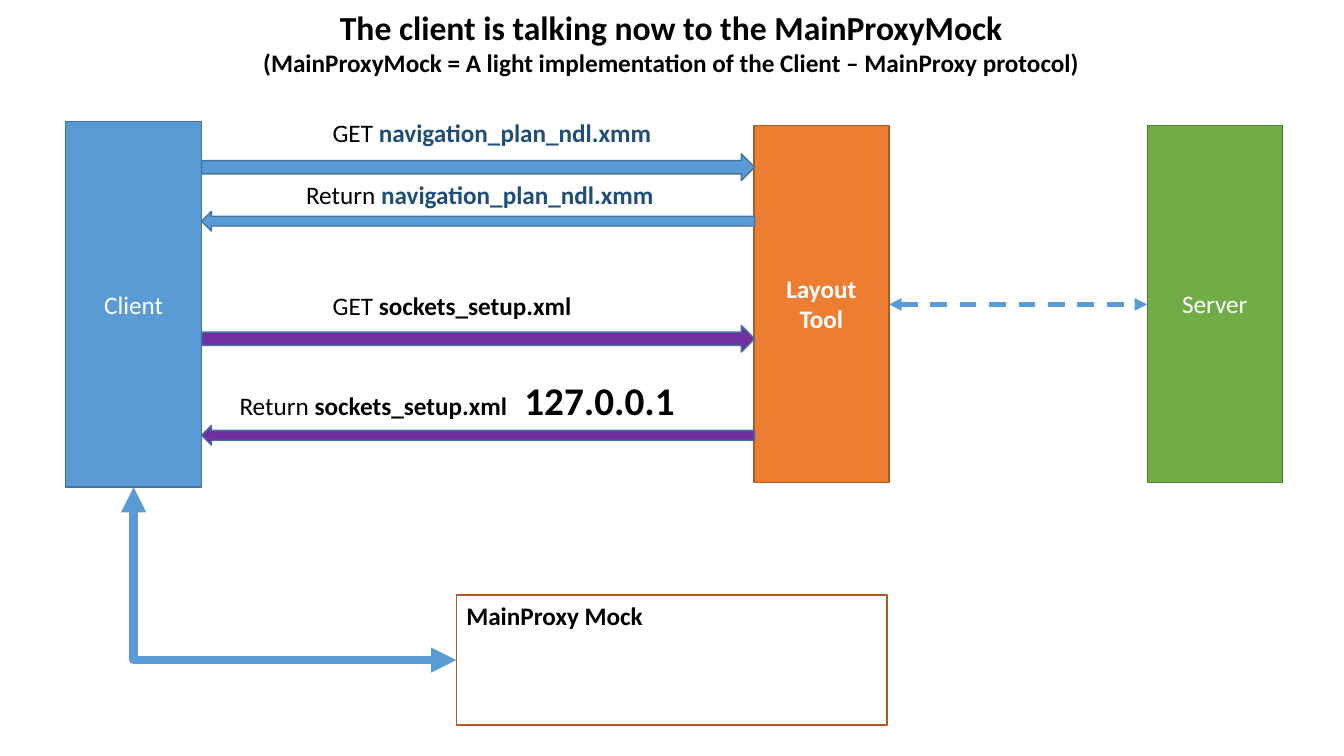
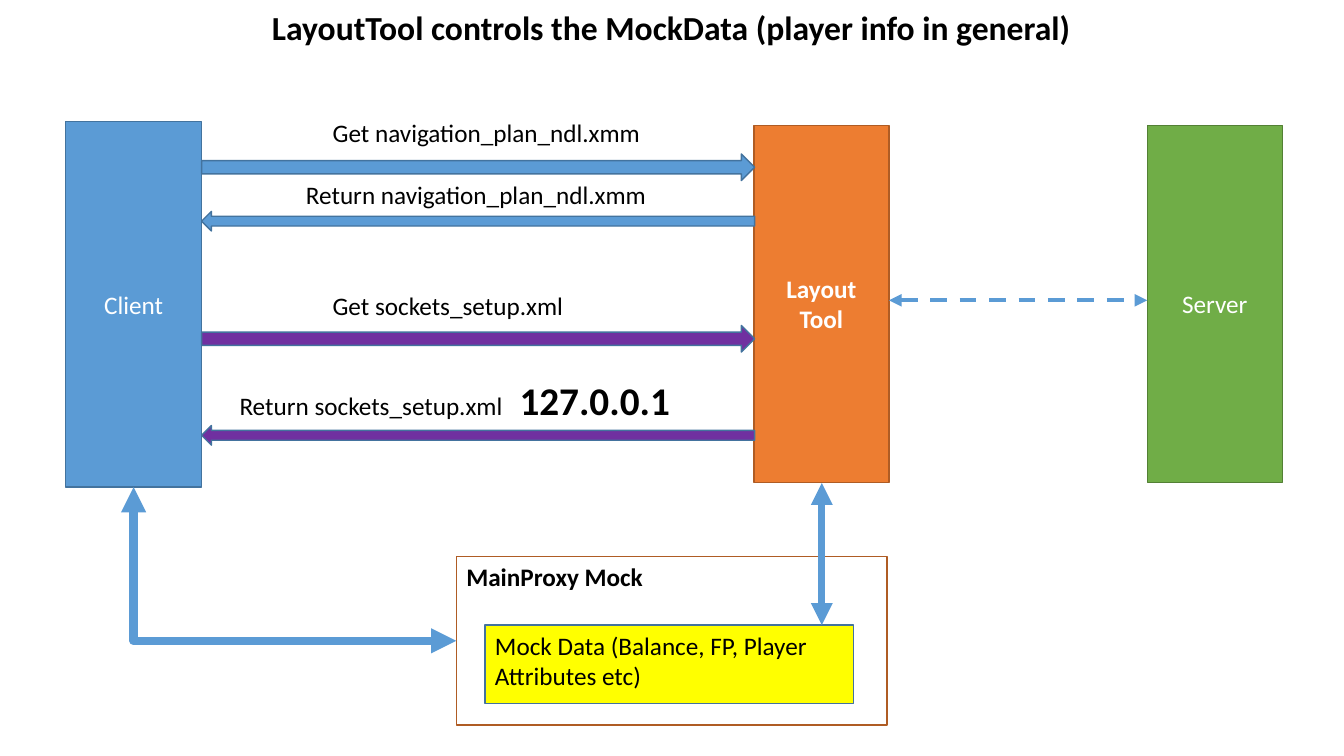
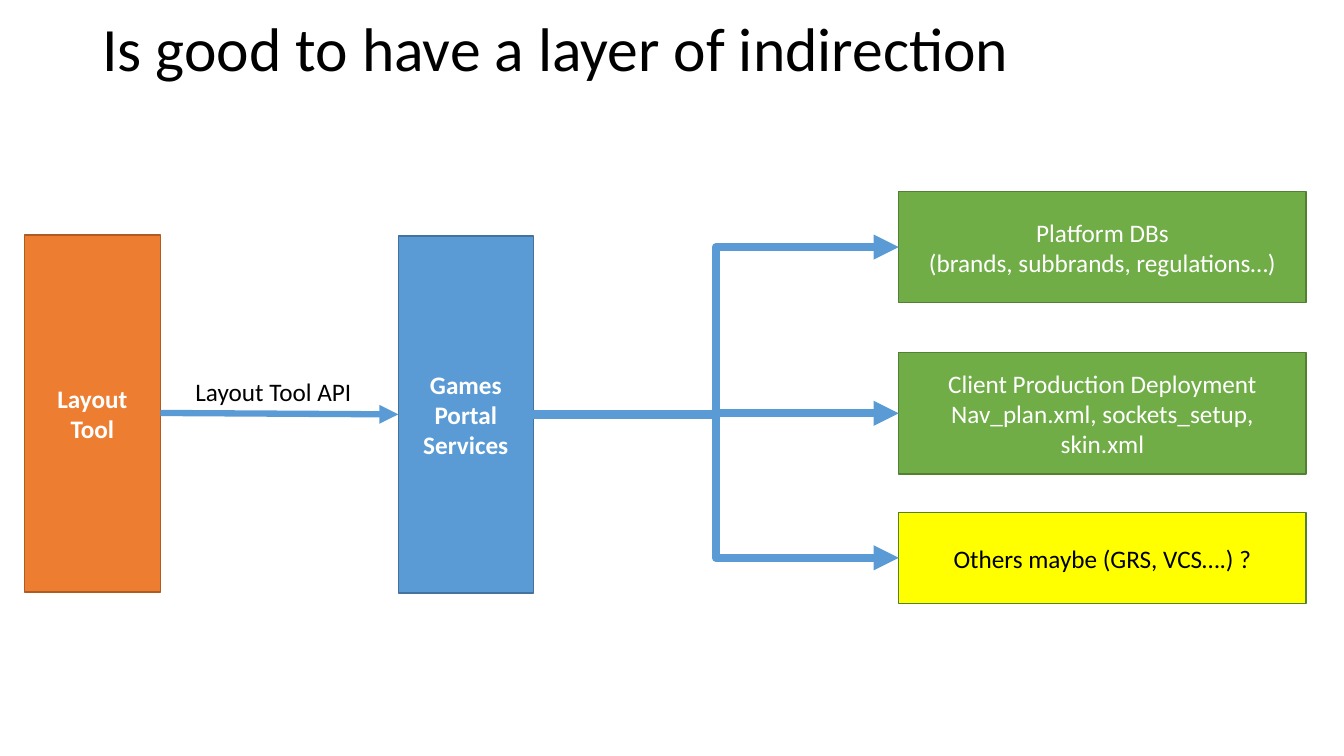
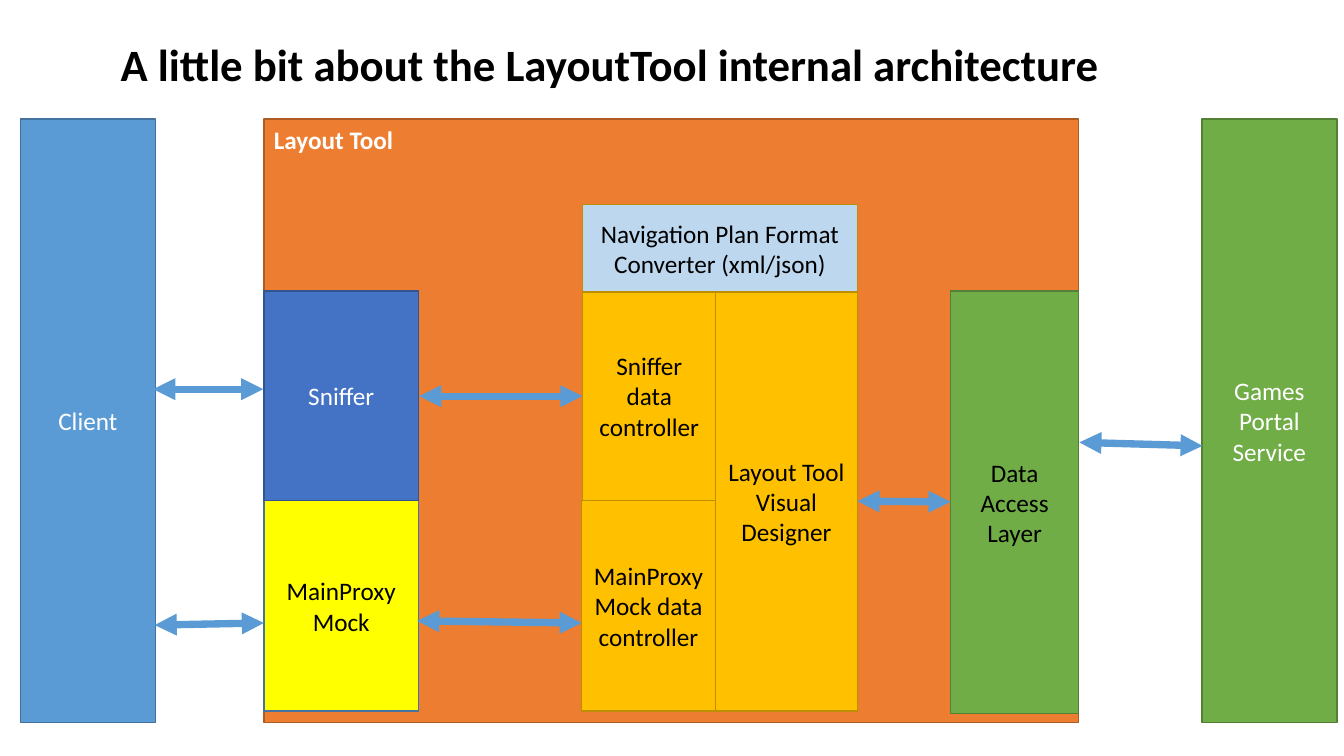
from lxml import etree
from pptx import Presentation
from pptx.dml.color import RGBColor
from pptx.enum.dml import MSO_LINE
from pptx.enum.shapes import MSO_CONNECTOR, MSO_SHAPE
from pptx.enum.text import MSO_ANCHOR, MSO_AUTO_SIZE, PP_ALIGN
from pptx.oxml.ns import qn
from pptx.util import Pt

FONT = "Calibri"
BLACK = RGBColor(0x00, 0x00, 0x00)
WHITE = RGBColor(0xFF, 0xFF, 0xFF)
NAVY = RGBColor(0x1F, 0x4E, 0x79)
SKY = RGBColor(0x5B, 0x9B, 0xD5)

# Fill and outline pairs
BLUE_EDGE = RGBColor(0x43, 0x73, 0x9E)
GREEN_EDGE = RGBColor(0x53, 0x80, 0x35)
GOLD_EDGE = RGBColor(0xBD, 0x8E, 0x00)
ORANGE_EDGE = RGBColor(0xAF, 0x5C, 0x24)
YELLOW_FILL = RGBColor(0xFF, 0xFF, 0x00)
BLUE = (SKY, BLUE_EDGE)
GREEN = (RGBColor(0x70, 0xAD, 0x47), GREEN_EDGE)
ORANGE = (RGBColor(0xED, 0x7D, 0x31), ORANGE_EDGE)
PURPLE = (RGBColor(0x70, 0x30, 0xA0), BLUE_EDGE)
INDIGO = (RGBColor(0x44, 0x72, 0xC4), RGBColor(0x32, 0x54, 0x91))
GOLD = (RGBColor(0xFF, 0xC0, 0x00), GOLD_EDGE)
PALE = (RGBColor(0xBD, 0xD7, 0xEE), GOLD_EDGE)
YELLOW = (YELLOW_FILL, BLUE_EDGE)
YELLOW_GREEN = (YELLOW_FILL, GREEN_EDGE)
HOLLOW = (None, ORANGE_EDGE)

RECTANGLE = MSO_SHAPE.RECTANGLE
RIGHT_ARROW = MSO_SHAPE.RIGHT_ARROW
LEFT_ARROW = MSO_SHAPE.LEFT_ARROW
STRAIGHT = MSO_CONNECTOR.STRAIGHT
ELBOW = MSO_CONNECTOR.ELBOW
DASH = MSO_LINE.DASH
NO_AUTOFIT = MSO_AUTO_SIZE.NONE
LEFT, CENTER = PP_ALIGN.LEFT, PP_ALIGN.CENTER
TOP, MIDDLE = MSO_ANCHOR.TOP, MSO_ANCHOR.MIDDLE
LEFT_SITE, BOTTOM_SITE, RIGHT_SITE = 1, 2, 3
TITLE, LABEL = "title", "label"


def add_block(slide, kind, box, paragraphs=(), colors=None, color=WHITE, size=18,
              bold=False, align=CENTER, anchor=MIDDLE, wrap=True, spacing=1.0):
    """Add a title, label or shape; a run is (text, size, bold, color)."""
    left, top, width, height = [Pt(value) for value in box]
    if kind == TITLE:
        shape = slide.shapes.title
        shape.left, shape.top, shape.width, shape.height = left, top, width, height
    elif kind == LABEL:
        shape = slide.shapes.add_textbox(left, top, width, height)
    else:
        shape = slide.shapes.add_shape(kind, left, top, width, height)
        shape.shadow.inherit = False
        fill, edge = colors
        if fill is None:
            shape.fill.background()
        else:
            shape.fill.solid()
            shape.fill.fore_color.rgb = fill
        shape.line.color.rgb = edge
        shape.line.width = Pt(1)
    frame = shape.text_frame
    frame.auto_size = NO_AUTOFIT
    frame.word_wrap = wrap
    frame.vertical_anchor = anchor
    for index, runs in enumerate(paragraphs):
        paragraph = frame.add_paragraph() if index else frame.paragraphs[0]
        paragraph.alignment = align
        paragraph.line_spacing = spacing
        for text, *style in [(runs,)] if isinstance(runs, str) else runs:
            run = paragraph.add_run()
            run.text = text
            run_size, run_bold, run_color = style or (size, bold, color)
            run.font.name = FONT
            run.font.size = Pt(run_size)
            run.font.bold = run_bold
            run.font.color.rgb = run_color
    return shape


def add_link(slide, kind, begin, end, width, ends=("headEnd", "tailEnd"), dash=None):
    """Add a connector with triangle arrowheads at the given ends."""
    link = slide.shapes.add_connector(kind, *[Pt(value) for value in begin + end])
    link.line.color.rgb = SKY
    link.line.width = Pt(width)
    if dash:
        link.line.dash_style = dash
    properties = link._element.spPr
    outline = properties.find(qn("a:ln"))
    for name in ends:
        etree.SubElement(outline, qn("a:" + name), type="triangle")
    etree.SubElement(properties, qn("a:effectLst"))
    return link


presentation = Presentation()
presentation.slide_width = Pt(960)
presentation.slide_height = Pt(540)
title_only = presentation.slide_layouts[5]

# Slides 1 and 2: message flow between client, tool and mock
plain, strong, file_name = (18, False, BLACK), (18, True, BLACK), (18, True, NAVY)
address = ("127.0.0.1", 28, True, BLACK)
flows = [
    {
        "title": [[("The client is talking now to the MainProxyMock", 24, True, BLACK)],
                  [("(MainProxyMock = A light implementation of the Client – "
                    "MainProxy protocol)", *strong)]],
        "title_height": 58,
        "labels": [
            (230.5, 80.5, 244, [("GET ", *plain), ("navigation_plan_ndl.xmm", *file_name)]),
            (211.5, 124.5, 265, [("Return ", *plain),
                                 ("navigation_plan_ndl.xmm", *file_name)]),
            (230.5, 204, 186.5, [("GET ", *plain), ("sockets_setup.xml", *strong)]),
        ],
        "reply": [("Return ", *plain), ("sockets_setup.xml\t", *strong), address],
        "address_tab": 203.5, "mock_top": 425, "server_link": 217.5,
    },
    {
        "title": [[("LayoutTool controls the MockData (player info in general)",
                    24, True, BLACK)]],
        "title_height": 36,
        "labels": [
            (230.5, 80.5, 237, [("Get navigation_plan_ndl.xmm", *plain)]),
            (211.5, 124.5, 260.5, [("Return navigation_plan_ndl.xmm", *plain)]),
            (230.5, 204, 180.5, [("Get sockets_setup.xml", *plain)]),
        ],
        "reply": [("Return sockets_setup.xml\t", *plain), address],
        "address_tab": 200, "mock_top": 397.5, "server_link": 214.5,
    },
]
for flow in flows:
    slide = presentation.slides.add_slide(title_only)
    add_block(slide, TITLE, (47, 1.5, 865, flow["title_height"]), flow["title"], anchor=TOP)

    # Three systems
    client = add_block(slide, RECTANGLE, (47, 87, 97, 261), ["Client"], BLUE)
    add_block(slide, RECTANGLE, (819.5, 89.5, 96.5, 255), ["Server"], GREEN)
    add_block(slide, RECTANGLE, (538.5, 89.5, 96.5, 255), ["Layout Tool"], ORANGE, bold=True)

    # Requests and replies
    for kind, top, height, colors in [(RIGHT_ARROW, 110, 19, BLUE), (LEFT_ARROW, 151, 14, BLUE),
                                      (RIGHT_ARROW, 232.5, 19, PURPLE),
                                      (LEFT_ARROW, 304, 14, PURPLE)]:
        add_block(slide, kind, (144, top, 395, height), colors=colors)
    for left, top, width, runs in flow["labels"]:
        add_block(slide, LABEL, (left, top, width, 29), [runs],
                  align=LEFT, anchor=TOP, wrap=False)
    reply = add_block(slide, LABEL, (164, 265, 351, 41), [flow["reply"]],
                      align=LEFT, anchor=TOP)
    paragraph_properties = reply.text_frame.paragraphs[0]._p.get_or_add_pPr()
    tabs = etree.SubElement(paragraph_properties, qn("a:tabLst"))
    etree.SubElement(tabs, qn("a:tab"), pos=str(Pt(flow["address_tab"])), algn="l")

    # Mock with its link to the client
    mock_top = flow["mock_top"]
    mock = add_block(slide, RECTANGLE, (326, mock_top, 307.5, 518 - mock_top),
                     ["MainProxy Mock"], HOLLOW, BLACK, bold=True, align=LEFT, anchor=TOP)
    link = add_link(slide, ELBOW, (326, (mock_top + 518) / 2), (95.5, 348), 6)
    link.begin_connect(mock, LEFT_SITE)
    link.end_connect(client, BOTTOM_SITE)
    link._element.spPr.find(qn("a:prstGeom")).set("prst", "bentConnector2")
    add_link(slide, STRAIGHT, (635, flow["server_link"]), (819.5, flow["server_link"]), 3,
             dash=DASH)

# Mock data, only on slide 2
add_block(slide, RECTANGLE, (346.5, 446.5, 263, 56),
          ["Mock Data (Balance, FP, Player Attributes etc)"], YELLOW, BLACK,
          align=LEFT, anchor=TOP)
add_link(slide, STRAIGHT, (587, 345), (587, 446.5), 5.25)

# Slide 3: layer of indirection
slide = presentation.slides.add_slide(title_only)
add_block(slide, TITLE, (66, 1.5, 828, 71), ["Is good to have a layer of indirection"],
          color=BLACK, size=44, align=LEFT, spacing=0.9)
add_block(slide, RECTANGLE, (17.5, 168, 97, 255), ["Layout Tool"], ORANGE, bold=True)
portal = add_block(slide, RECTANGLE, (284.5, 168.5, 96.5, 255), ["Games Portal Services"],
                   BLUE, bold=True)
targets = [
    (137, 79, ["Platform DBs", "(brands, subbrands, regulations…)"], GREEN, WHITE),
    (252, 86.5, ["Client Production Deployment", "Nav_plan.xml, sockets_setup, skin.xml"],
     GREEN, WHITE),
    (366, 65, ["Others maybe (GRS, VCS….) ?"], YELLOW_GREEN, BLACK),
]
for top, height, paragraphs, colors, color in targets:
    target = add_block(slide, RECTANGLE, (642, top, 291, height), paragraphs, colors, color)
    link = add_link(slide, ELBOW, (381, 296), (642, top + height / 2), 6, ends=["tailEnd"])
    link.begin_connect(portal, RIGHT_SITE)
    link.end_connect(target, LEFT_SITE)
add_link(slide, STRAIGHT, (114.5, 295), (284.5, 296), 4.5, ends=["tailEnd"])
add_block(slide, LABEL, (132.5, 265.5, 127.5, 29), ["Layout Tool API"], color=BLACK,
          align=LEFT, anchor=TOP, wrap=False)

# Slide 4: internal architecture
slide = presentation.slides.add_slide(title_only)
add_block(slide, TITLE, (79, 19.5, 828, 56),
          ["A little bit about the LayoutTool internal architecture"],
          color=BLACK, size=32, bold=True, align=LEFT, spacing=0.9)
add_block(slide, RECTANGLE, (188.5, 85, 582, 431), ["Layout Tool"], ORANGE, bold=True,
          align=LEFT, anchor=TOP)
components = [
    ((188.5, 357.5, 110.5, 150.5), ["MainProxy Mock"], YELLOW, BLACK),
    ((188.5, 208, 110.5, 149.5), ["Sniffer"], INDIGO, WHITE),
    ((416, 208, 95.5, 149.5), ["Sniffer data controller"], GOLD, BLACK),
    ((415.5, 357.5, 95.5, 150.5), ["MainProxy", "Mock data controller"], GOLD, BLACK),
    ((511, 208, 101.5, 300), ["Layout Tool Visual Designer"], GOLD, BLACK),
    ((679, 208, 91.5, 301.5), ["Data Access Layer"], GREEN, BLACK),
    ((14.5, 85, 96.5, 431), ["Client"], BLUE, WHITE),
    ((858.5, 85, 96.5, 431), ["Games Portal Service"], GREEN, WHITE),
    ((416, 146, 196.5, 62.5), ["Navigation Plan Format Converter (xml/json)"], PALE, BLACK),
]
for box, paragraphs, colors, color in components:
    add_block(slide, RECTANGLE, box, paragraphs, colors, color)
for begin, end in [((109.5, 278), (188, 278)), ((110.5, 446.5), (188.5, 445)),
                   ((299.5, 283), (416, 283)), ((298, 443.5), (415.5, 445)),
                   ((612.5, 358), (679, 358.5)), ((771, 316), (859, 318.5))]:
    add_link(slide, STRAIGHT, begin, end, 5.25)

presentation.save("out.pptx")
